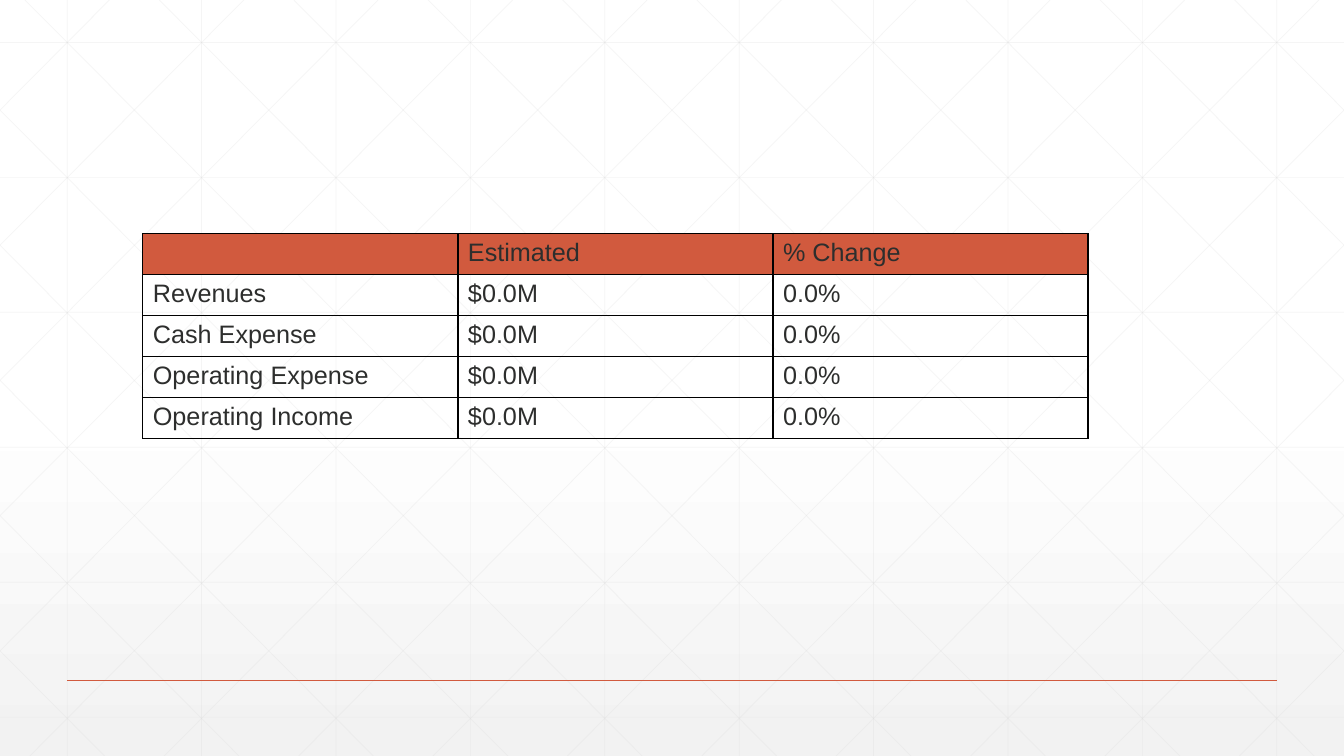
from copy import deepcopy

from lxml import etree
from pptx import Presentation
from pptx.dml.color import RGBColor
from pptx.enum.shapes import MSO_CONNECTOR
from pptx.oxml.ns import qn
from pptx.util import Cm, Pt

STRAIGHT = MSO_CONNECTOR.STRAIGHT

WHITE = RGBColor(0xFF, 0xFF, 0xFF)
PALE = RGBColor(0xF2, 0xF2, 0xF2)
GREY = RGBColor(0xD9, 0xD9, 0xD9)
RUST = RGBColor(0xD1, 0x5A, 0x3E)
INK = RGBColor(0x2D, 0x2E, 0x2D)
BLACK = RGBColor(0, 0, 0)

WIDE, HIGH = 33.87, 19.05
FONT = {"name": "Arial", "size": Pt(18)}
FLAGS = {"first_row": False, "horz_banding": False}
EDGES = ("a:lnL", "a:lnR", "a:lnT", "a:lnB")
ROWS = [
    ("", "Estimated", "% Change"),
    ("Revenues", "$0.0M", "0.0%"),
    ("Cash Expense", "$0.0M", "0.0%"),
    ("Operating Expense", "$0.0M", "0.0%"),
    ("Operating Income", "$0.0M", "0.0%"),
]


def assign(item, values):
    for key, value in values.items():
        setattr(item, key, value)


def paint(slide):
    """Fill the background white, fading to pale grey at the foot."""
    fill = slide.background.fill
    fill.gradient()
    fill.gradient_angle = 270
    for stop, place, color in zip(fill.gradient_stops, (0.53, 1), (WHITE, PALE)):
        stop.position = place
        stop.color.rgb = color
    stops = slide.element.find(".//" + qn("a:gsLst"))
    first = deepcopy(stops[0])
    first.set("pos", "0")
    stops.insert(0, first)


def rule(shapes, ends, color, width, alpha=None):
    """Draw a straight line between two points given in cm."""
    line = shapes.add_connector(STRAIGHT, *[Cm(v) for v in ends])
    line.line.color.rgb = color
    line.line.width = Pt(width)
    props = line.element.spPr
    etree.SubElement(props, qn("a:effectLst"))
    if alpha:
        tint = props.find(".//" + qn("a:srgbClr"))
        etree.SubElement(tint, qn("a:alpha"), val=str(alpha * 1000))


def lattice(slide, left, top, width, height):
    """Cover the box with upright, level and slanted hairlines."""
    step, run = width / 10, 18.94
    slope = height / run
    lines = []
    for i in range(10):
        x = step * (i + 0.5)
        lines.append((x, 0, x, height))
    for i in range(6):
        y = 1.07 + 3.4 * i
        lines.append((0, y, width, y))
    for i in range(-5, 10):
        start = 0.63 + step * i
        x1, x2 = max(start, 0), min(start + run, width)
        y1, y2 = [(x - start) * slope for x in (x1, x2)]
        lines.append((x1, y1, x2, y2))
        lines.append((width - x1, y1, width - x2, y2))
    group = slide.shapes.add_group_shape()
    for x1, y1, x2, y2 in lines:
        ends = (left + x1, top + y1, left + x2, top + y2)
        rule(group.shapes, ends, GREY, 0.5, 25)


def border(cell):
    props = cell._tc.get_or_add_tcPr()
    for spot, edge in enumerate(EDGES):
        line = etree.Element(qn(edge), w=str(Pt(1)))
        solid = etree.SubElement(line, qn("a:solidFill"))
        etree.SubElement(solid, qn("a:srgbClr"), val=str(BLACK))
        props.insert(spot, line)


def budget(slide, left, top, width, height):
    """Place the table of estimates in the box."""
    box = [Cm(v) for v in (left, top, width, height)]
    table = slide.shapes.add_table(len(ROWS), len(ROWS[0]), *box).table
    assign(table, FLAGS)
    for r, row in enumerate(ROWS):
        for c, text in enumerate(row):
            cell = table.cell(r, c)
            cell.text = text
            font = cell.text_frame.paragraphs[0].font
            assign(font, FONT)
            font.color.rgb = INK
            if r == 0:
                cell.fill.solid()
                cell.fill.fore_color.rgb = RUST
            else:
                cell.fill.background()
            border(cell)


def main():
    deck = Presentation()
    assign(deck, {"slide_width": Cm(WIDE), "slide_height": Cm(HIGH)})
    slide = deck.slides.add_slide(deck.slide_layouts[6])
    paint(slide)
    lattice(slide, 0, 0, WIDE, HIGH)
    rule(slide.shapes, (1.69, 17.15, WIDE - 1.69, 17.15), RUST, 1)
    budget(slide, 3.6, 5.89, 23.82, 5.16)
    deck.save("out.pptx")


if __name__ == "__main__":
    main()
